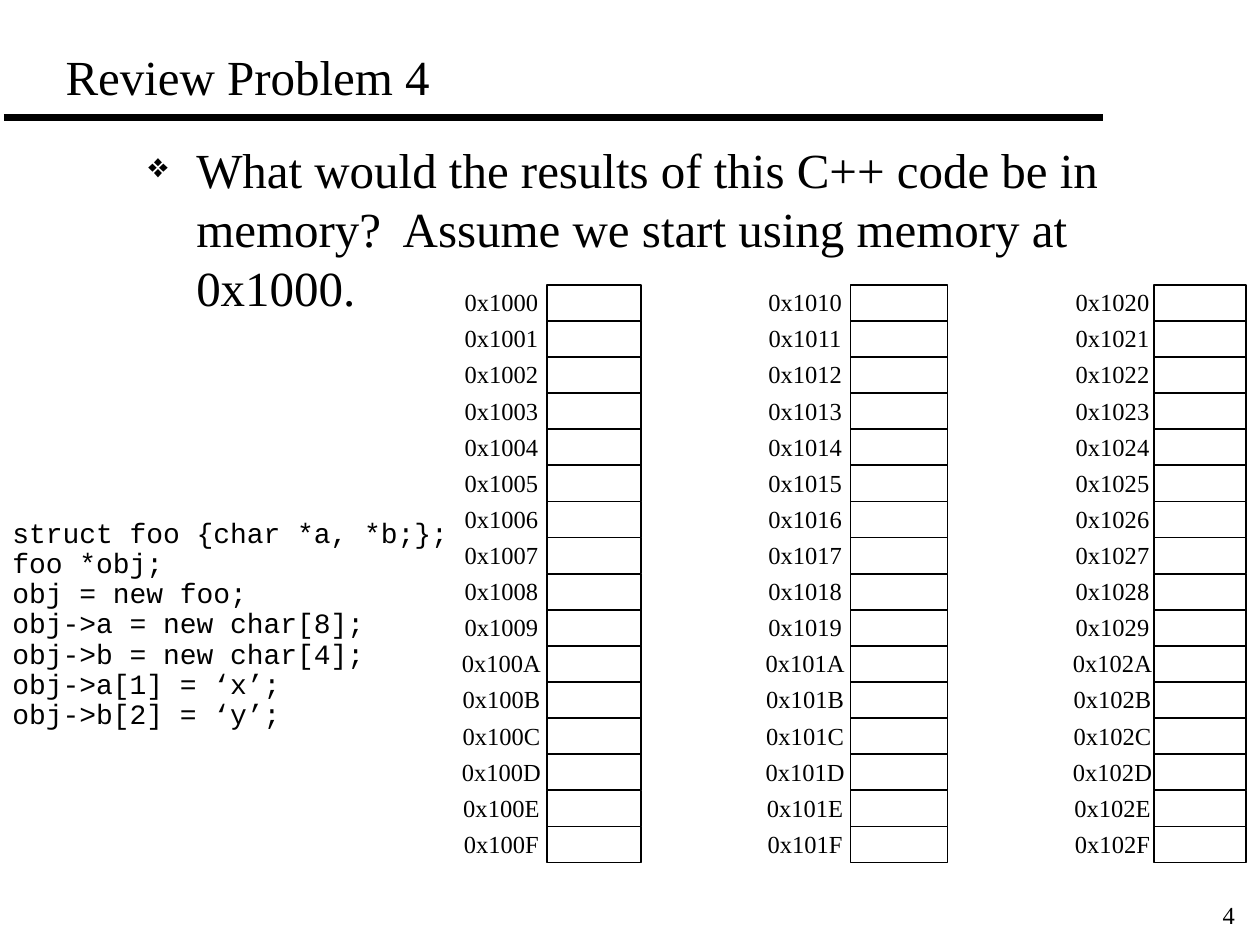
from dataclasses import dataclass

from lxml.etree import SubElement
from pptx import Presentation
from pptx.dml.color import RGBColor
from pptx.enum.shapes import MSO_CONNECTOR as Conn, MSO_SHAPE as Shape
from pptx.enum.text import MSO_ANCHOR as Anchor, PP_ALIGN as Align
from pptx.oxml.ns import qn
from pptx.util import Inches, Pt

INK = {"black": "000000", "white": "FFFFFF"}
SERIF, MONO = "Times New Roman", "Courier New"
ROWS, TOP, PITCH = 16, 2.26, 4.3 / 15  # memory cells, in inches
TAG_W, TAG_H, TAG_UP = 0.84, 0.34, 0.03

CODE = """struct foo {char *a, *b;};
foo *obj;
obj = new foo;
obj->a = new char[8];
obj->b = new char[4];
obj->a[1] = ‘x’;
obj->b[2] = ‘y’;"""


@dataclass
class Bank:
    start: int
    tag: float
    left: float
    width: float


BANKS = [
    Bank(0x1020, 8.41, 9.16, 0.73),
    Bank(0x1000, 3.56, 4.34, 0.75),
    Bank(0x1010, 5.97, 6.75, 0.77),
]


def color(name: str) -> RGBColor:
    return RGBColor.from_string(INK[name])


def style(para, size: float, face: str = SERIF, align=Align.LEFT) -> None:
    para.alignment = align
    para.font.size = Pt(size)
    para.font.name = face
    para.font.color.rgb = color("black")


def add_text(slide, text: str, box: tuple, wrap: bool = True):
    frame = slide.shapes.add_textbox(*map(Inches, box)).text_frame
    frame.word_wrap = wrap
    para = frame.paragraphs[0]
    para.text = text
    return para


def add_bullet(para, char: str, indent: float) -> None:
    props = para._p.get_or_add_pPr()
    props.set("marL", str(Inches(indent)))
    props.set("indent", str(-Inches(indent)))
    tint = SubElement(props, qn("a:buClr"))
    SubElement(tint, qn("a:srgbClr"), val=INK["black"])
    SubElement(props, qn("a:buSzPct"), val="70000")
    SubElement(props, qn("a:buChar"), char=char)


def add_rule(slide) -> None:
    rule = slide.shapes.add_connector(
        Conn.STRAIGHT, Inches(0.03), Inches(0.93), Inches(8.75), Inches(0.93))
    rule.line.color.rgb = color("black")
    rule.line.width = Pt(4)
    SubElement(rule._element.spPr, qn("a:effectLst"))


def add_bank(slide, bank: Bank) -> None:
    for row in range(ROWS):
        top = TOP + row * PITCH
        cell = slide.shapes.add_shape(
            Shape.RECTANGLE, Inches(bank.left), Inches(top),
            Inches(bank.width), Inches(PITCH))
        cell.shadow.inherit = False
        cell.fill.solid()
        cell.fill.fore_color.rgb = color("white")
        cell.line.color.rgb = color("black")
        cell.line.width = Pt(1)
        box = (bank.tag, top - TAG_UP, TAG_W, TAG_H)
        para = add_text(slide, f"0x{bank.start + row:X}", box, wrap=False)
        style(para, 14, align=Align.CENTER)


def main() -> None:
    deck = Presentation()
    deck.slide_width, deck.slide_height = Inches(10), Inches(7.5)
    slide = deck.slides.add_slide(deck.slide_layouts[5])

    # Title and rule
    add_rule(slide)
    title = slide.shapes.title
    title.left, title.top = Inches(0.42), Inches(0.33)
    title.width, title.height = Inches(8.46), Inches(0.56)
    title.text_frame.text = "Review Problem 4"
    title.text_frame.vertical_anchor = Anchor.BOTTOM
    style(title.text_frame.paragraphs[0], 28)

    # Question
    ask = add_text(
        slide, "What would the results of this C++ code be in memory?  "
        "Assume we start using memory at 0x1000.", (1.08, 1.06, 8.5, 5.86))
    add_bullet(ask, "❖", 0.38)
    style(ask, 28)

    # Code
    code = add_text(slide, CODE.replace("\n", "\v"), (0, 4.07, 4.69, 1.79))
    code.line_spacing = 0.9
    style(code, 16, MONO)

    # Memory banks
    for bank in BANKS:
        add_bank(slide, bank)

    # Slide number
    page = add_text(slide, "4", (9.48, 7.09, 0.42, 0.33), wrap=False)
    style(page, 14, align=Align.RIGHT)

    deck.save("out.pptx")


if __name__ == "__main__":
    main()
